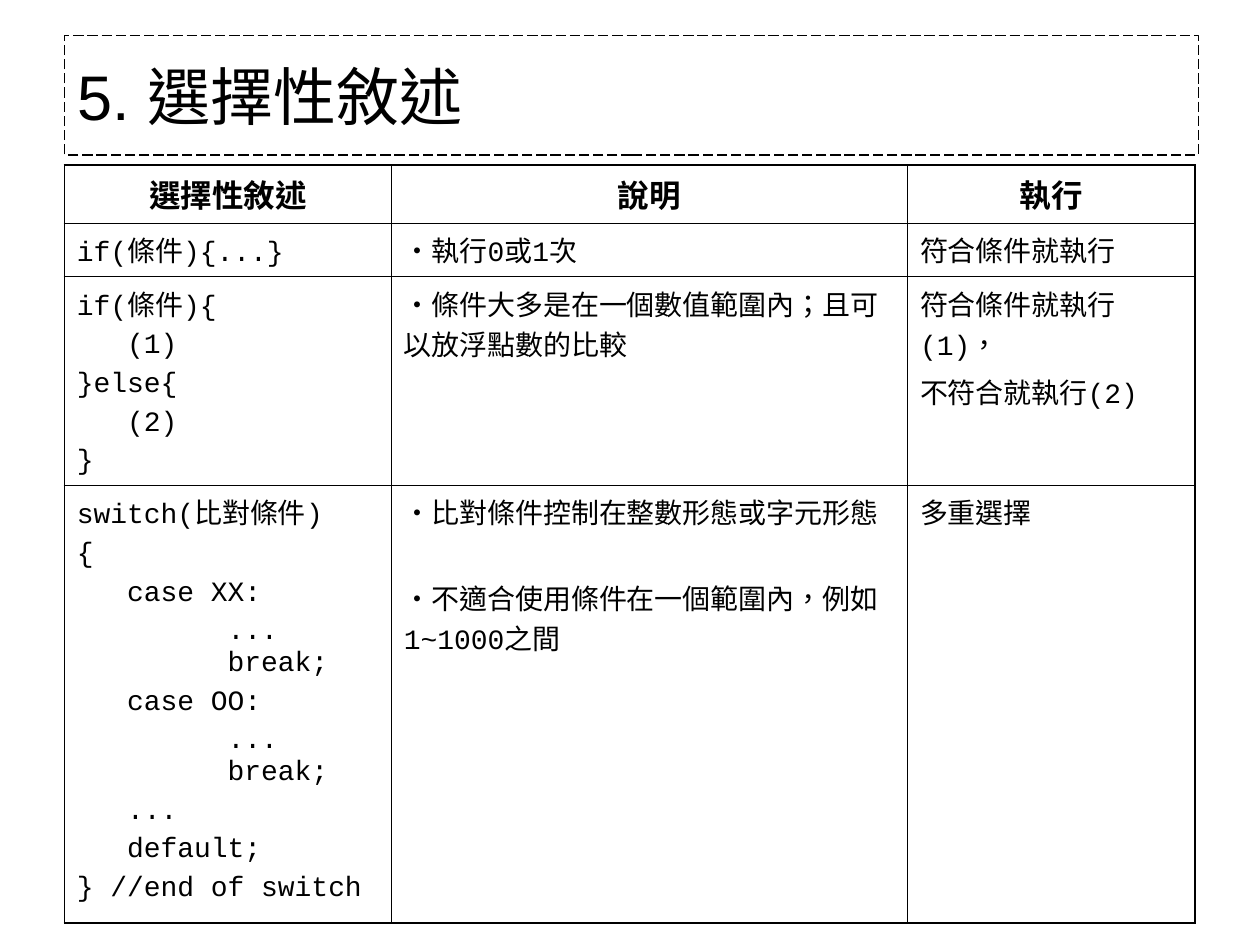
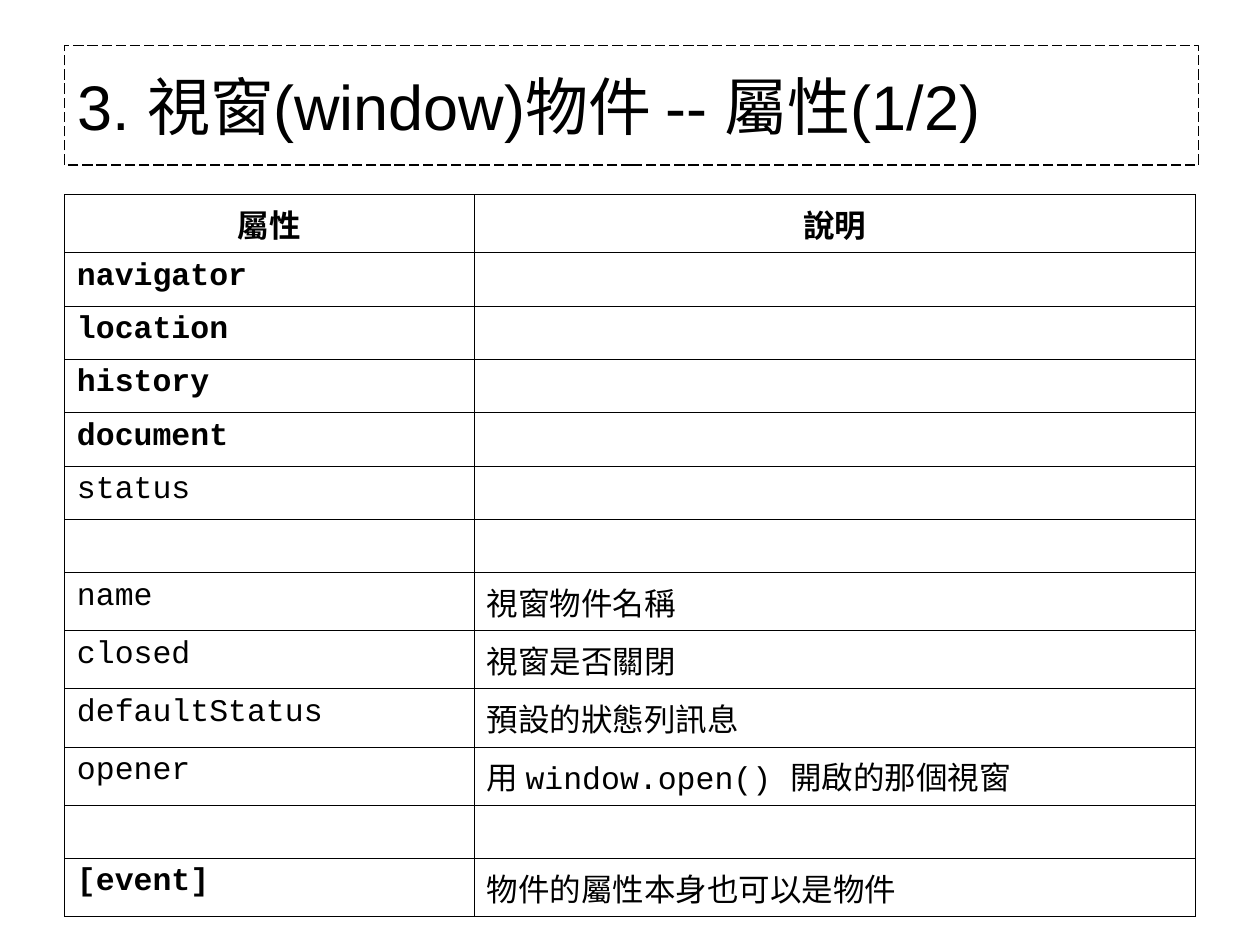
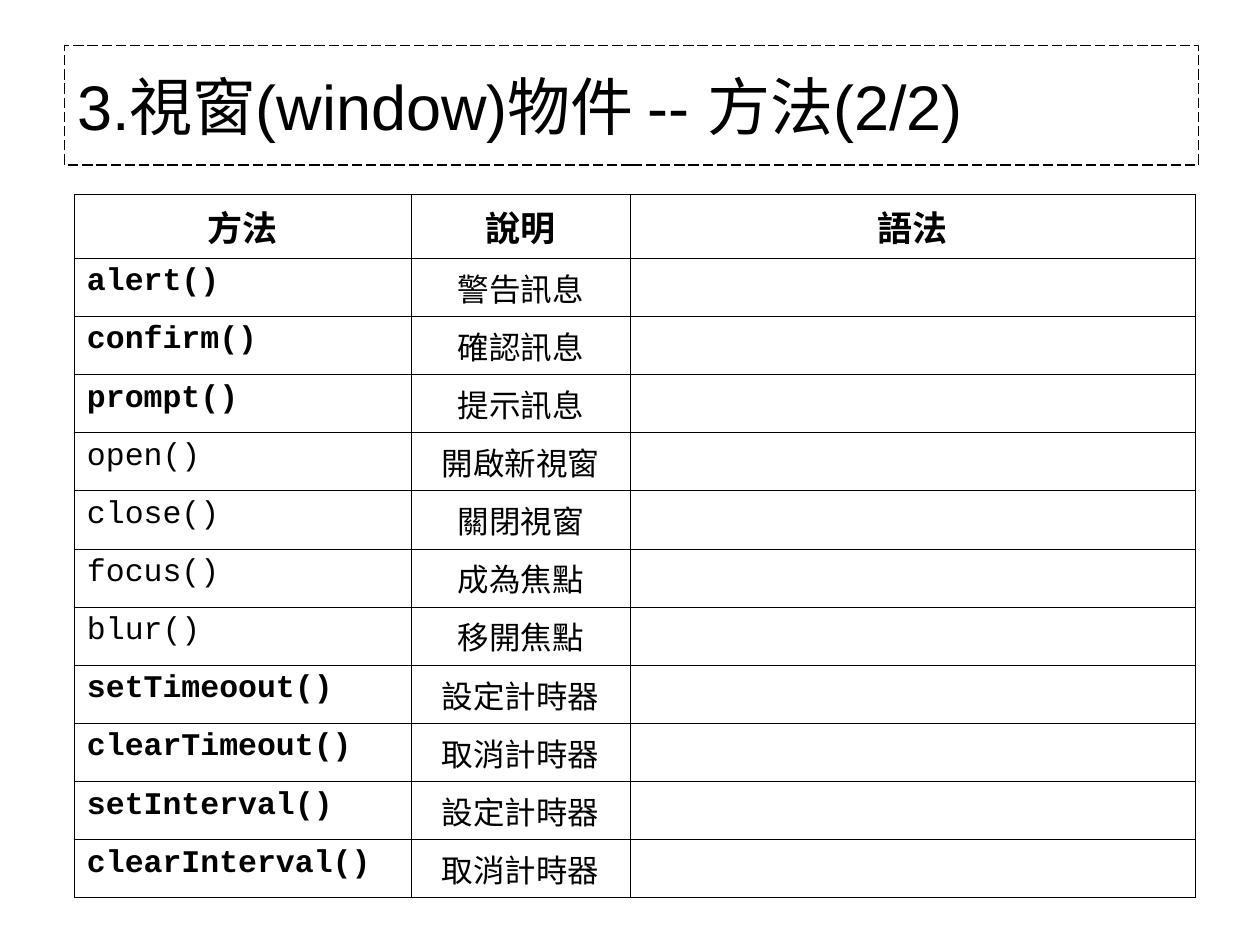
from copy import deepcopy

from lxml.etree import SubElement
from pptx import Presentation
from pptx.dml.color import RGBColor
from pptx.enum.dml import MSO_LINE
from pptx.enum.lang import MSO_LANGUAGE_ID as Lang
from pptx.enum.text import MSO_ANCHOR, PP_ALIGN as Align
from pptx.oxml.ns import qn
from pptx.util import Pt

BLACK = RGBColor(0, 0, 0)
CODE = "Courier New"
THIN = 0.45
THICK = 1.08
LOW = 30.5
TALL = 33.25


def style(para, **form):
    """Format the runs of a paragraph, line breaks included."""
    form = {"language_id": Lang.TRADITIONAL_CHINESE, **form}
    for run in para.runs:
        for key, val in form.items():
            setattr(run.font, key, val)
        run.font.color.rgb = BLACK
    for br in para._p.findall(qn("a:br")):
        br.append(deepcopy(para.runs[0]._r.rPr))


def border(cell, widths):
    """Draw the left, right, top and bottom edges of a cell."""
    props = cell._tc.get_or_add_tcPr()
    for spot, (side, width) in enumerate(zip("LRTB", widths)):
        line = SubElement(props, qn(f"a:ln{side}"), w=str(Pt(width)))
        fill = SubElement(line, qn("a:solidFill"))
        SubElement(fill, qn("a:srgbClr"), val=str(BLACK))
        props.insert(spot, line)


# Cell text: \n starts a paragraph, \v breaks a line
IF_ELSE = "if(條件){\n   (1)\n}else{\n   (2)\n}"
SWITCH = (
    "switch(比對條件)\n{\n"
    "   case XX:\n         ...\v         break;\n"
    "   case OO:\n         ...\v         break;\n"
    "   ...\n   default;\n} //end of switch"
)

PAGES = [
    {
        "title": "5. 選擇性敘述", "top": 20.16,
        "at": (36.8, 94.32), "cols": (186.8, 295, 164.3),
        "high": (TALL, LOW, 118.8, 249.84),
        "head": 18, "body": 16, "outer": THICK, "mid": (), "bold": (),
        "rows": [
            ("選擇性敘述", "說明", "執行"),
            ("if(條件){...}", "‧執行0或1次", "符合條件就執行"),
            (IF_ELSE, "‧條件大多是在一個數值範圍內；且可以放浮點數的比較",
             "符合條件就執行(1)，\n不符合就執行(2)"),
            (SWITCH, "‧比對條件控制在整數形態或字元形態\n"
             "‧不適合使用條件在一個範圍內，例如1~1000之間", "多重選擇"),
        ],
    },
    {
        "title": "3. 視窗(window)物件 -- 屬性(1/2)", "top": 26,
        "at": (36.8, 111.1), "cols": (234.3, 412),
        "high": (TALL,) + (LOW,) * 6 + (TALL,) * 4 + (LOW, TALL),
        "head": 18, "body": 18, "outer": THIN, "mid": (),
        "bold": ("navigator", "location", "history", "document", "[event]"),
        "rows": [
            ("屬性", "說明"),
            ("navigator", ""),
            ("location", ""),
            ("history", ""),
            ("document", ""),
            ("status", ""),
            ("", ""),
            ("name", "視窗物件名稱"),
            ("closed", "視窗是否關閉"),
            ("defaultStatus", "預設的狀態列訊息"),
            ("opener", "用 window.open() 開啟的那個視窗"),
            ("", ""),
            ("[event]", "物件的屬性本身也可以是物件"),
        ],
    },
    {
        "title": "3.視窗(window)物件 -- 方法(2/2)", "top": 26,
        "at": (42.48, 111.1), "cols": (192.6, 124.9, 323.28),
        "high": (36.5,) + (TALL,) * 11,
        "head": 20, "body": 18, "outer": THIN, "mid": (1,),
        "bold": ("alert()", "confirm()", "prompt()", "setTimeoout()",
                 "clearTimeout()", "setInterval()", "clearInterval()"),
        "rows": [
            ("方法", "說明", "語法"),
            ("alert()", "警告訊息", ""),
            ("confirm()", "確認訊息", ""),
            ("prompt()", "提示訊息", ""),
            ("open()", "開啟新視窗", ""),
            ("close()", "關閉視窗", ""),
            ("focus()", "成為焦點", ""),
            ("blur()", "移開焦點", ""),
            ("setTimeoout()", "設定計時器", ""),
            ("clearTimeout()", "取消計時器", ""),
            ("setInterval()", "設定計時器", ""),
            ("clearInterval()", "取消計時器", ""),
        ],
    },
]

deck = Presentation()
deck.slide_width, deck.slide_height = Pt(720), Pt(540)

for page in PAGES:
    slide = deck.slides.add_slide(deck.slide_layouts[6])

    # Dashed title box
    box = slide.shapes.add_textbox(Pt(37), Pt(page["top"]), Pt(648), Pt(68.4))
    box.line.color.rgb = BLACK
    box.line.width = Pt(0.75)
    box.line.dash_style = MSO_LINE.LONG_DASH
    frame = box.text_frame
    frame.word_wrap = True
    frame.vertical_anchor = MSO_ANCHOR.MIDDLE
    frame.text = page["title"]
    style(frame.paragraphs[0], size=Pt(36), name="Arial")

    # Table grid
    rows, cols, high = page["rows"], page["cols"], page["high"]
    left, top = page["at"]
    table = slide.shapes.add_table(
        len(rows), len(cols), Pt(left), Pt(top), Pt(sum(cols)), Pt(sum(high))
    ).table
    table.first_row = table.horz_banding = False
    for col, width in zip(table.columns, cols):
        col.width = Pt(width)
    for row, height in zip(table.rows, high):
        row.height = Pt(height)

    # Cells
    for r, row in enumerate(rows):
        for c, text in enumerate(row):
            cell = table.cell(r, c)
            cell.fill.background()
            edges = (c == 0, c == len(cols) - 1, r == 0, r == len(rows) - 1)
            border(cell, [page["outer"] if edge else THIN for edge in edges])
            cell.text = text
            size = page["body"] if r else page["head"]
            for n, para in enumerate(cell.text_frame.paragraphs):
                if r == 0 or c in page["mid"]:
                    para.alignment = Align.CENTER
                if n:
                    para.space_before = Pt(26 if para.text.startswith("‧") else 4)
                style(para, size=Pt(size), name=CODE,
                      bold=r == 0 or text in page["bold"])

deck.save("out.pptx")
